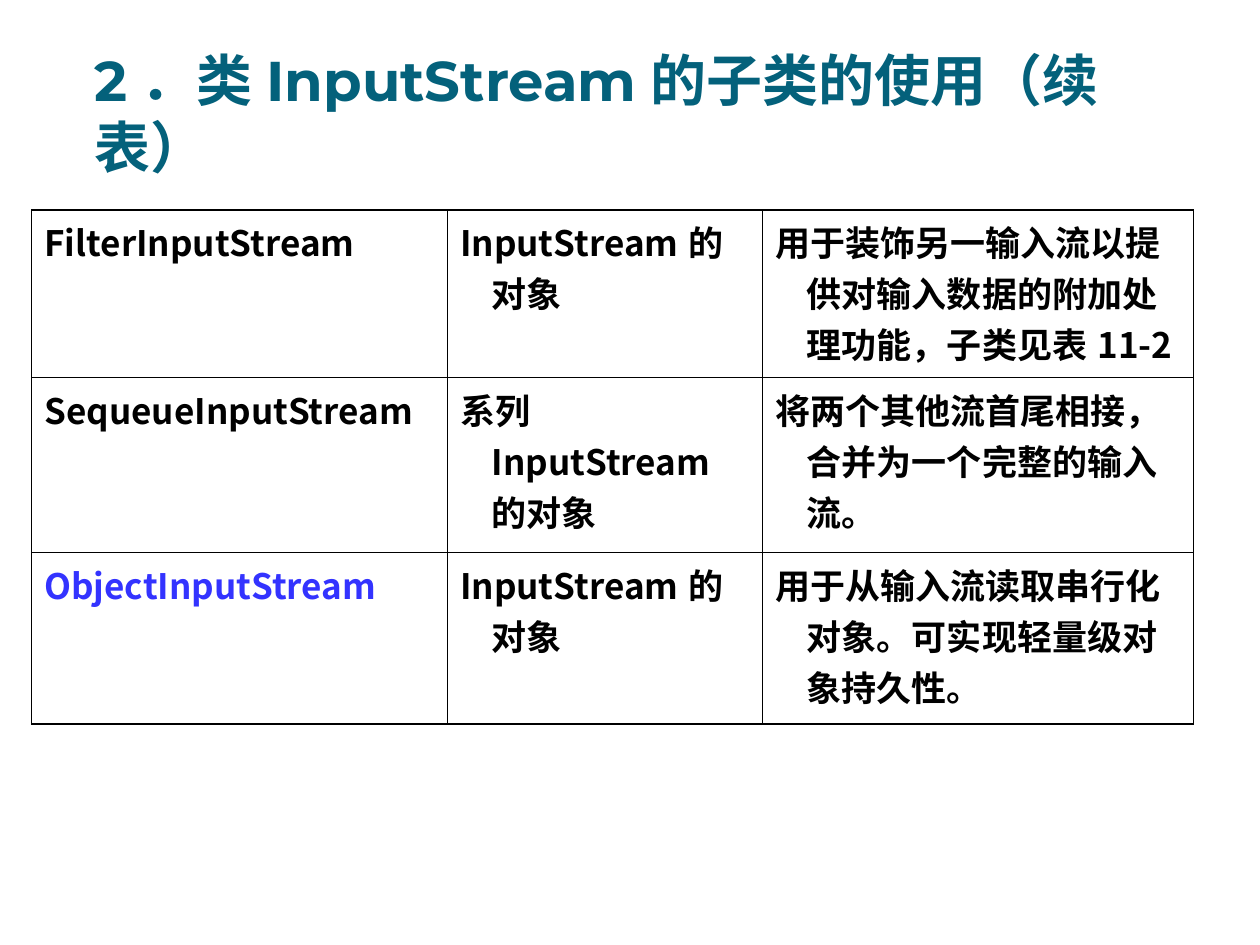
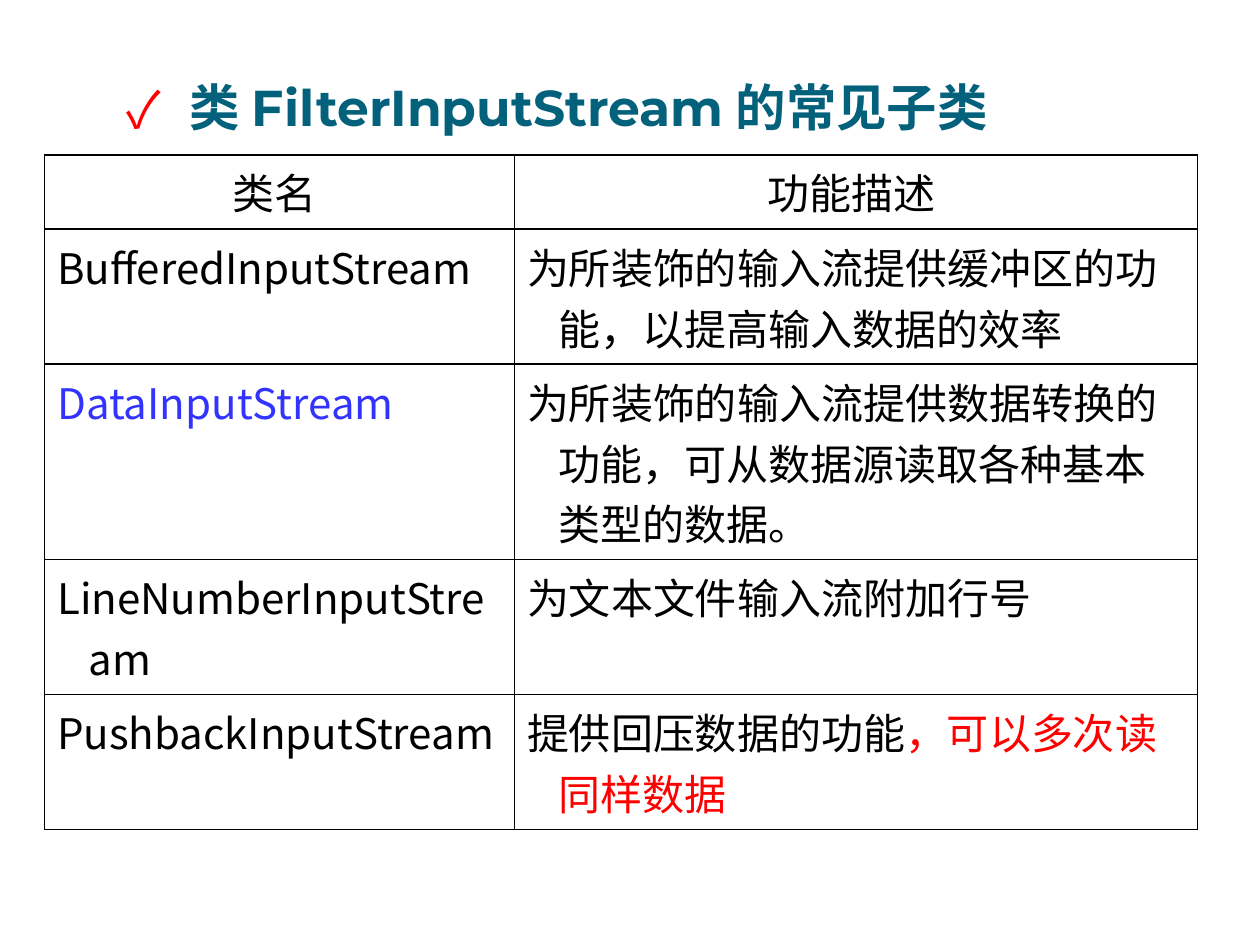
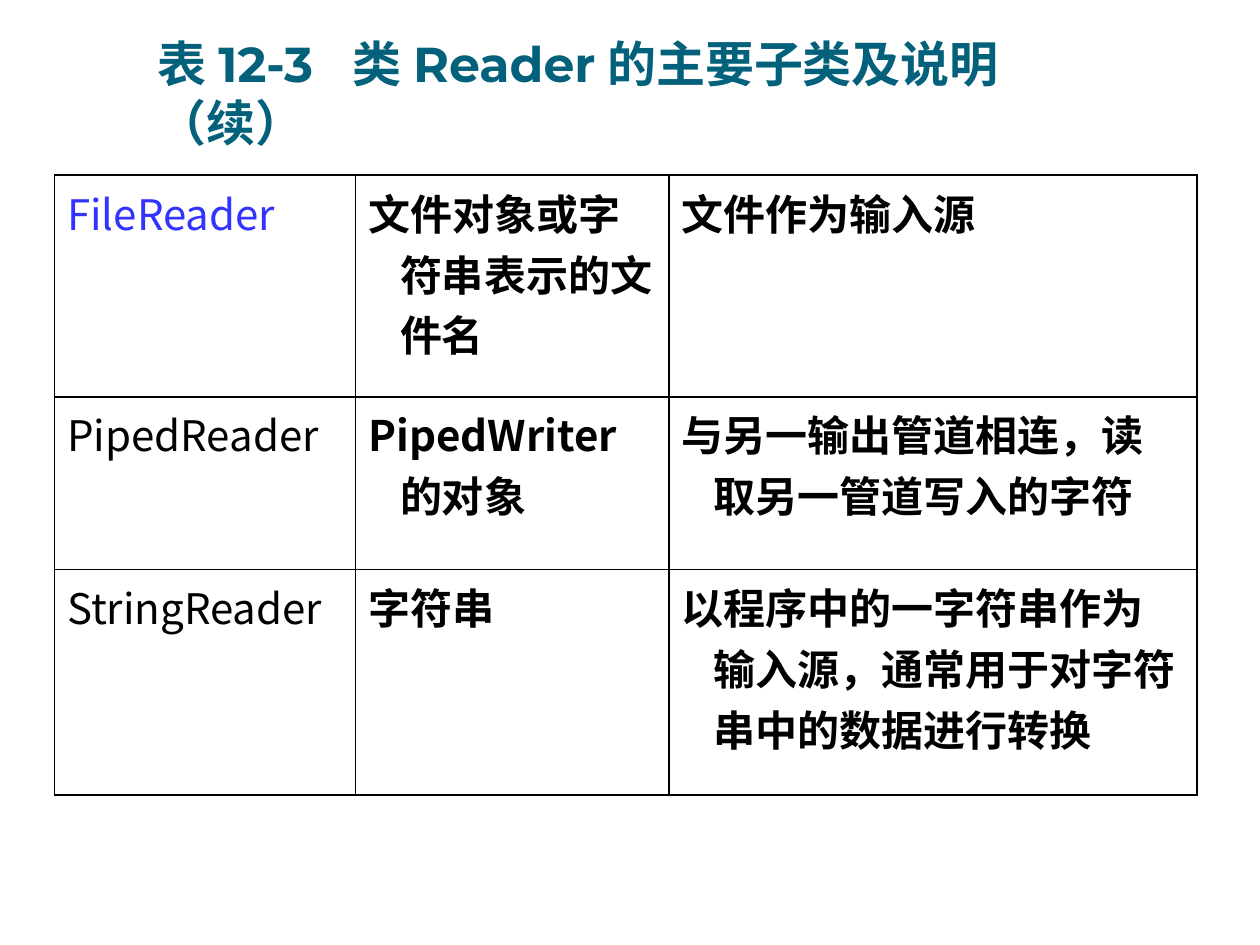
from dataclasses import dataclass
from typing import NamedTuple

from lxml.etree import SubElement
from pptx import Presentation
from pptx.dml.color import RGBColor
from pptx.enum.text import MSO_ANCHOR, PP_ALIGN
from pptx.oxml.ns import qn
from pptx.slide import Slide
from pptx.table import _Cell
from pptx.text.text import _Paragraph
from pptx.util import Cm, Pt

HEAD = "Montserrat"
BODY = "Noto Sans CJK SC"
TEAL = "04617B"
BLACK = "000000"
BLUE = "3333FF"
RED = "FF0000"
EDGES = ("a:lnL", "a:lnR", "a:lnT", "a:lnB")


class Span(NamedTuple):
    text: str
    color: str = BLACK


@dataclass(frozen=True)
class Title:
    text: str
    left: float
    top: float
    width: float
    height: float
    size: float = 28
    mark: str = ""


@dataclass(frozen=True)
class Grid:
    left: float
    top: float
    cols: list[float]
    rows: list[float]
    cells: list[list[str | tuple[Span, ...]]]
    bold: list[bool]
    size: float = 24
    header: bool = False


def paint(value: str) -> RGBColor:
    return RGBColor.from_string(value)


def style(para: _Paragraph, face: str, size: float, color: str, bold: bool) -> None:
    font = para.font
    font.size = Pt(size)
    font.bold = bold
    font.color.rgb = paint(color)
    font.name = face
    base = para._p.pPr.find(qn("a:defRPr"))
    SubElement(base, qn("a:ea"), typeface=face)


def indent(para: _Paragraph, depth: float) -> None:
    props = para._p.get_or_add_pPr()
    props.set("marL", str(Cm(depth)))
    props.set("indent", str(-Cm(depth)))


def bullet(para: _Paragraph, mark: str, color: str) -> None:
    props = para._p.get_or_add_pPr()
    tint = SubElement(props, qn("a:buClr"))
    SubElement(tint, qn("a:srgbClr"), val=color)
    SubElement(props, qn("a:buFont"), typeface=BODY)
    SubElement(props, qn("a:buChar"), char=mark)


def border(cell: _Cell) -> None:
    props = cell._tc.get_or_add_tcPr()
    for edge in EDGES:
        line = SubElement(props, qn(edge), w=str(Pt(1)))
        fill = SubElement(line, qn("a:solidFill"))
        SubElement(fill, qn("a:srgbClr"), val=BLACK)


def add_title(slide: Slide, title: Title) -> None:
    box = slide.shapes.add_textbox(
        Cm(title.left), Cm(title.top), Cm(title.width), Cm(title.height)
    )
    frame = box.text_frame
    frame.word_wrap = True
    frame.vertical_anchor = MSO_ANCHOR.BOTTOM
    frame.margin_left = frame.margin_right = frame.margin_bottom = 0
    para = frame.paragraphs[0]
    para.add_run().text = title.text
    if title.mark:
        indent(para, 1.27)
        bullet(para, title.mark, RED)
    style(para, HEAD, title.size, TEAL, True)


def fill_cell(cell: _Cell, spans: tuple[Span, ...], size: float, bold: bool) -> None:
    border(cell)
    cell.fill.background()
    para = cell.text_frame.paragraphs[0]
    indent(para, 0.64)
    main = spans[0].color
    style(para, BODY, size, main, bold)
    for span in spans:
        run = para.add_run()
        run.text = span.text
        if span.color != main:
            run.font.color.rgb = paint(span.color)


def add_grid(slide: Slide, grid: Grid) -> None:
    table = slide.shapes.add_table(
        len(grid.rows), len(grid.cols), Cm(grid.left), Cm(grid.top),
        Cm(sum(grid.cols)), Cm(sum(grid.rows)),
    ).table
    table.first_row = table.horz_banding = False
    for col, width in zip(table.columns, grid.cols):
        col.width = Cm(width)
    for row, height in zip(table.rows, grid.rows):
        row.height = Cm(height)
    for r, line in enumerate(grid.cells):
        for c, item in enumerate(line):
            cell = table.cell(r, c)
            spans = (Span(item),) if isinstance(item, str) else item
            fill_cell(cell, spans, grid.size, grid.bold[c])
            if grid.header and r == 0:
                cell.text_frame.paragraphs[0].alignment = PP_ALIGN.CENTER


PAGES = [
    (
        Title("2．类InputStream的子类的使用（续表）", 1.9, 1.67, 21.06, 1.96, size=32),
        Grid(
            0.64, 4.23, [8.38, 6.35, 8.69], [3.38, 3.53, 3.45],
            [
                ["FilterInputStream", "InputStream的对象",
                 "用于装饰另一输入流以提供对输入数据的附加处理功能，子类见表11-2"],
                ["SequeueInputStream", "系列InputStream的对象",
                 "将两个其他流首尾相接，合并为一个完整的输入流。"],
                [(Span("ObjectInputStream", BLUE),), "InputStream的对象",
                 "用于从输入流读取串行化对象。可实现轻量级对象持久性。"],
            ],
            bold=[True, True, True], size=20,
        ),
    ),
    (
        Title("类FilterInputStream的常见子类", 2.55, 1.29, 21.06, 1.47, size=28.8, mark="✓"),
        Grid(
            0.9, 3.12, [9.47, 13.77], [1.5, 2.72, 3.94, 2.72, 2.72],
            [
                ["类名 ", "功能描述 "],
                ["BufferedInputStream",
                 "为所装饰的输入流提供缓冲区的功能，以提高输入数据的效率"],
                [(Span("DataInputStream", BLUE),),
                 "为所装饰的输入流提供数据转换的功能，可从数据源读取各种基本类型的数据。"],
                ["LineNumberInputStream", "为文本文件输入流附加行号"],
                ["PushbackInputStream",
                 (Span("提供回压数据的功能"), Span("，可以多次读同样数据", RED))],
            ],
            bold=[False, False], header=True,
        ),
    ),
    (
        Title("表12-3  类Reader的主要子类及说明（续）", 3.18, 1.27, 19.35, 1.78),
        Grid(
            1.1, 3.53, [6.07, 6.32, 10.64], [4.47, 3.48, 4.55],
            [
                [(Span("FileReader", BLUE),), "文件对象或字符串表示的文件名",
                 "文件作为输入源"],
                ["PipedReader", "PipedWriter的对象",
                 "与另一输出管道相连，读取另一管道写入的字符"],
                ["StringReader", "字符串",
                 "以程序中的一字符串作为输入源，通常用于对字符串中的数据进行转换"],
            ],
            bold=[False, True, True],
        ),
    ),
]


def main() -> None:
    deck = Presentation()
    deck.slide_width, deck.slide_height = Cm(25.4), Cm(19.05)
    for title, grid in PAGES:
        slide = deck.slides.add_slide(deck.slide_layouts[6])
        add_title(slide, title)
        add_grid(slide, grid)
    deck.save("out.pptx")


if __name__ == "__main__":
    main()
